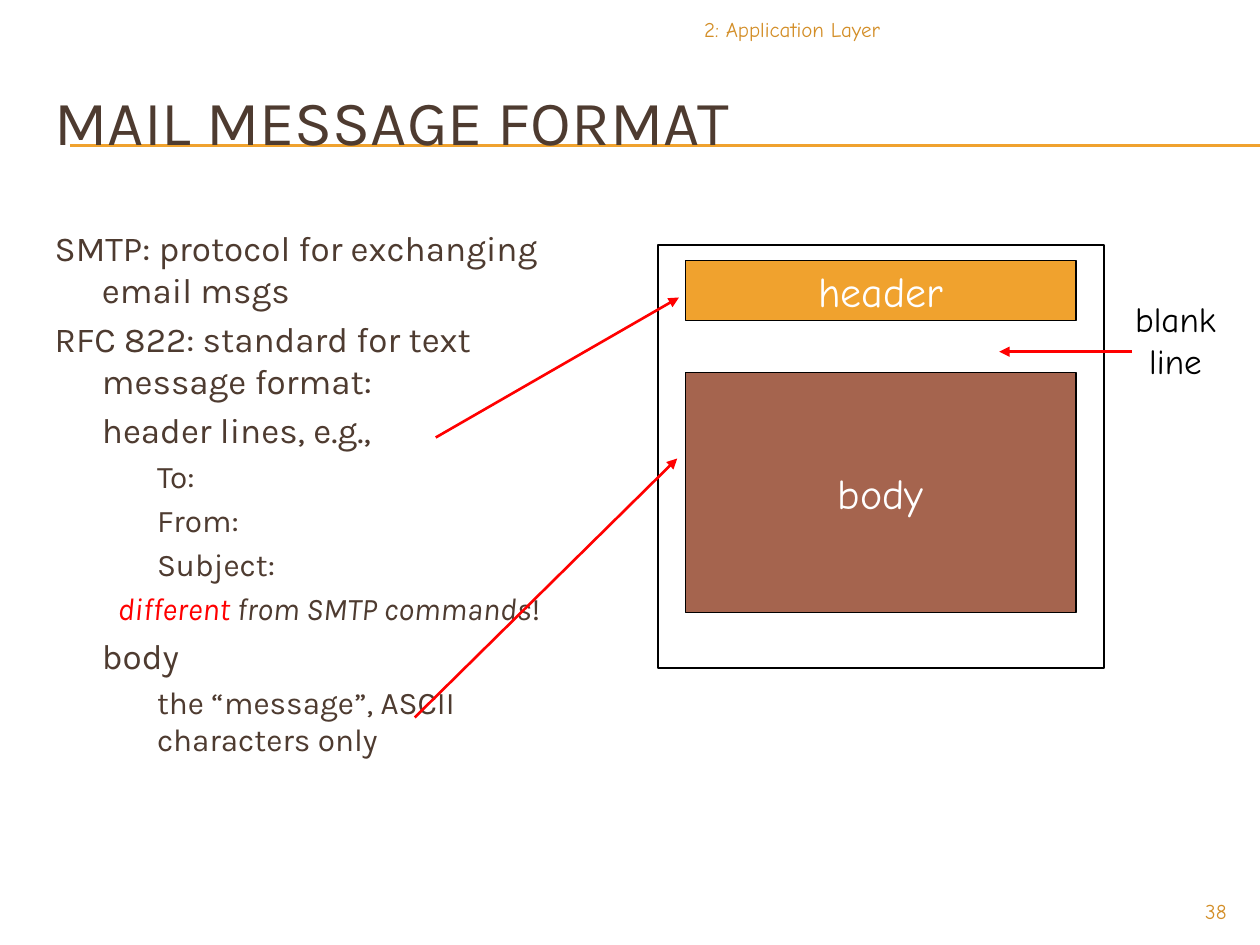
from pptx import Presentation
from pptx.dml.color import RGBColor
from pptx.enum.shapes import MSO_CONNECTOR as Conn, MSO_SHAPE as Shape
from pptx.enum.text import MSO_ANCHOR as Anchor, MSO_AUTO_SIZE as Fit, PP_ALIGN as Align
from pptx.oxml.ns import qn
from pptx.util import Pt
from lxml.etree import SubElement

GOLD = RGBColor(0xF0, 0xA2, 0x2E)
OCHRE = RGBColor(0xD3, 0x8E, 0x27)
BROWN = RGBColor(0x4E, 0x3B, 0x30)
RUST = RGBColor(0xA5, 0x64, 0x4E)
RED = RGBColor(0xFF, 0, 0)
BLACK = RGBColor(0, 0, 0)
WHITE = RGBColor(0xFF, 0xFF, 0xFF)
SANS, COMIC = "Karla", "Comic Neue"


def style(para, face, size, color, align):
    para.alignment = align
    for run in para.runs:
        font = run.font
        font.name, font.size, font.color.rgb = face, Pt(size), color


def draw_line(x1, y1, x2, y2, color, width):
    line = slide.shapes.add_connector(Conn.STRAIGHT, Pt(x1), Pt(y1), Pt(x2), Pt(y2))
    line.line.color.rgb = color
    line.line.width = Pt(width)
    SubElement(line.element.spPr, qn("a:effectLst"))
    return line


deck = Presentation()
deck.slide_width, deck.slide_height = Pt(720), Pt(540)
slide = deck.slides.add_slide(deck.slide_layouts[1])
title, body = slide.placeholders

# Title over a double rule
tree = title.element.getparent()
for y in (82.8, 83.5):
    rule = draw_line(40.3, y, 720, y, GOLD, 0.75)
    tree.insert(tree.index(title.element), rule.element)

title.left, title.top, title.width, title.height = Pt(24), Pt(36), Pt(684), Pt(66)
title.text_frame.text = "MAIL MESSAGE FORMAT"
title.text_frame.vertical_anchor = Anchor.MIDDLE
style(title.text_frame.paragraphs[0], SANS, 36, BROWN, Align.LEFT)

# List: level, left margin, first-line indent, runs
items = [
    (0, 27, -27, ["SMTP: protocol for exchanging email msgs"]),
    (0, 27, -27, ["RFC 822: standard for text message format:"]),
    (0, 27, 0, ["header lines, e.g.,"]),
    (1, 58.5, 0, ["To:"]),
    (1, 58.5, 0, ["From:"]),
    (1, 58.5, 0, ["Subject:"]),
    (1, 58.5, -22.5, ["different ", "from SMTP commands", "!"]),
    (0, 27, 0, ["body"]),
    (1, 58.5, 0, ["the “message”, ASCII characters only"]),
]
body.left, body.top, body.width, body.height = Pt(24), Pt(126), Pt(330), Pt(372)
frame = body.text_frame
frame.auto_size = Fit.NONE
for i, (level, margin, indent, parts) in enumerate(items):
    para = frame.add_paragraph() if i else frame.paragraphs[0]
    para.level = level
    for part in parts:
        para.add_run().text = part
    size = 18 if level else 20
    para.space_before = Pt(size * 0.2 if i else 0)
    style(para, SANS, size, BROWN, Align.LEFT)
    props = para._p.get_or_add_pPr()
    props.set("marL", str(Pt(margin)))
    props.set("indent", str(Pt(indent)))
    SubElement(props, qn("a:buNone"))
    if len(parts) > 1:
        first, second, _ = para.runs
        first.font.color.rgb = RED
        first.font.italic = second.font.italic = True

# Message diagram
boxes = [
    ("header", 391.7, 149, 223.2, 34, GOLD, 0.75),
    ("body", 391.7, 213, 223.2, 137, RUST, 0.75),
    ("", 376, 139.8, 255, 242, None, 1),
]
for text, x, y, w, h, fill, width in boxes:
    box = slide.shapes.add_shape(Shape.RECTANGLE, Pt(x), Pt(y), Pt(w), Pt(h))
    box.shadow.inherit = False
    box.line.color.rgb = BLACK
    box.line.width = Pt(width)
    if fill is None:
        box.fill.background()
        continue
    box.fill.solid()
    box.fill.fore_color.rgb = fill
    box.text_frame.text = text
    box.text_frame.vertical_anchor = Anchor.MIDDLE
    style(box.text_frame.paragraphs[0], COMIC, 24, WHITE, Align.CENTER)

# Arrows
arrows = [
    (249, 250, 388, 170),
    (237, 410, 387, 262),
    (647, 201, 571, 201),
]
for ends in arrows:
    arrow = draw_line(*ends, RED, 1.5)
    SubElement(arrow.line._get_or_add_ln(), qn("a:tailEnd"), type="triangle")

# Labels
labels = [
    ("2: Application Layer", 246, 6, 264, 23, 12, OCHRE, Align.RIGHT),
    ("38", 648, 510, 60, 19.5, 12, OCHRE, Align.RIGHT),
    ("blank\nline", 640, 166.3, 63.4, 55.4, 20, BLACK, Align.CENTER),
]
for text, x, y, w, h, size, color, align in labels:
    label = slide.shapes.add_textbox(Pt(x), Pt(y), Pt(w), Pt(h))
    label.text_frame.word_wrap = True
    label.text_frame.text = text
    for para in label.text_frame.paragraphs:
        style(para, COMIC, size, color, align)

deck.save("out.pptx")
